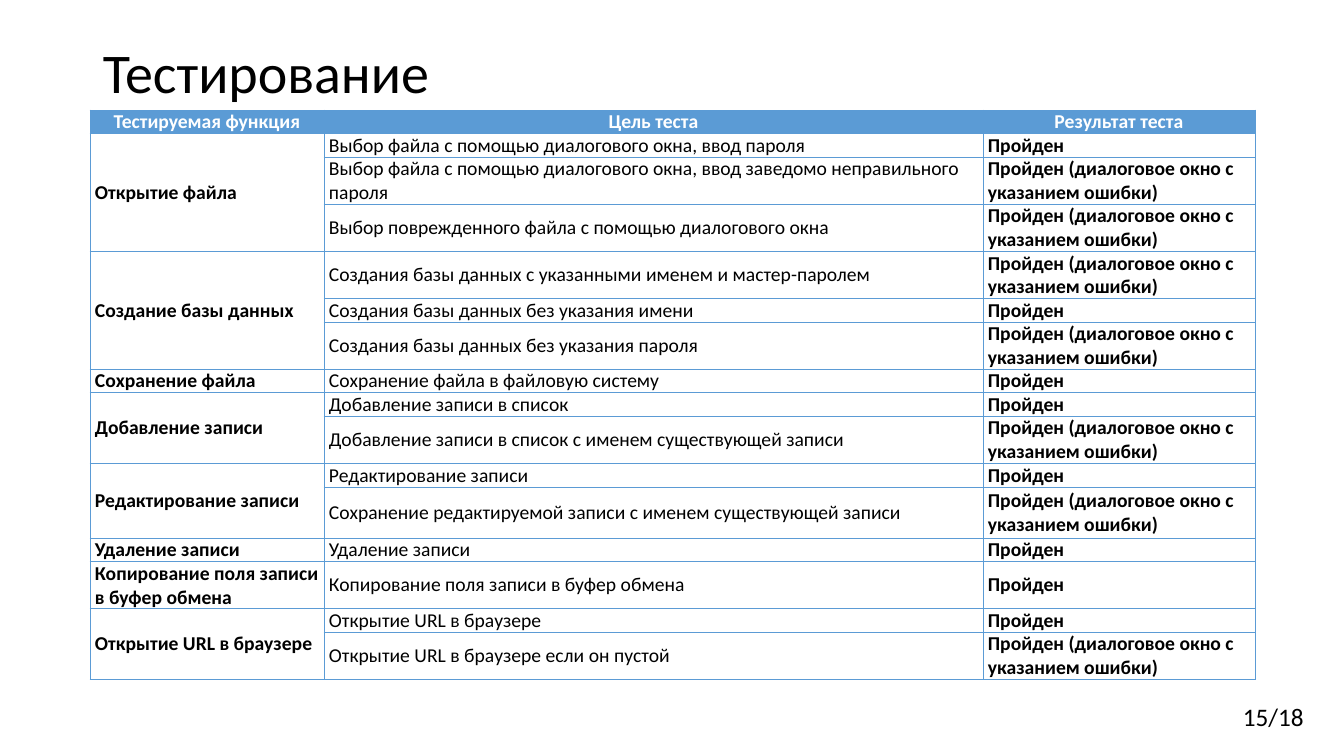
import pptx
import pptx.dml.color
import pptx.enum.text
import pptx.oxml
import pptx.oxml.ns
import pptx.util

PX = 914400 / 100.8
BLACK = pptx.dml.color.RGBColor(0x00, 0x00, 0x00)
WHITE = pptx.dml.color.RGBColor(0xFF, 0xFF, 0xFF)
BLUE = pptx.dml.color.RGBColor(0x5B, 0x9B, 0xD5)
MIDDLE = pptx.enum.text.MSO_ANCHOR.MIDDLE
LEFT = pptx.enum.text.PP_ALIGN.LEFT
CENTER = pptx.enum.text.PP_ALIGN.CENTER

ONE_LINE, TWO_LINES, TALL = 23, 47, 51
COLUMN_WIDTHS = (234, 659, 272)
HEADINGS = ("Тестируемая функция", "Цель теста", "Результат теста")
PASSED = "Пройден"
PASSED_WITH_ERROR = "Пройден (диалоговое окно с указанием ошибки)"

# Each tested function with its tests: goal, result, row height
TESTS = (
    ("Открытие файла", (
        ("Выбор файла с помощью диалогового окна, ввод пароля", PASSED, ONE_LINE),
        ("Выбор файла с помощью диалогового окна, ввод заведомо неправильного пароля",
         PASSED_WITH_ERROR, TWO_LINES),
        ("Выбор поврежденного файла с помощью диалогового окна",
         PASSED_WITH_ERROR, TWO_LINES))),
    ("Создание базы данных", (
        ("Создания базы данных с указанными именем и мастер-паролем",
         PASSED_WITH_ERROR, TWO_LINES),
        ("Создания базы данных без указания имени", PASSED, ONE_LINE),
        ("Создания базы данных без указания пароля", PASSED_WITH_ERROR, TWO_LINES))),
    ("Сохранение файла", (
        ("Сохранение файла в файловую систему", PASSED, ONE_LINE),)),
    ("Добавление записи", (
        ("Добавление записи в список", PASSED, ONE_LINE),
        ("Добавление записи в список с именем существующей записи",
         PASSED_WITH_ERROR, TWO_LINES))),
    ("Редактирование записи", (
        ("Редактирование записи", PASSED, ONE_LINE),
        ("Сохранение редактируемой записи с именем существующей записи",
         PASSED_WITH_ERROR, TALL))),
    ("Удаление записи", (
        ("Удаление записи", PASSED, ONE_LINE),)),
    ("Копирование поля записи в буфер обмена", (
        ("Копирование поля записи в буфер обмена", PASSED, TWO_LINES),)),
    ("Открытие URL в браузере", (
        ("Открытие URL в браузере", PASSED, ONE_LINE),
        ("Открытие URL в браузере если он пустой", PASSED_WITH_ERROR, TWO_LINES))),
)


def px(length):
    """Turn pixels into EMU."""
    return pptx.util.Emu(round(length * PX))


def assign(target, values):
    """Set every attribute named in a dict of format values."""
    for name, value in values.items():
        setattr(target, name, value)


class SlideBuilder:
    """Holds the style and the current slide."""

    font_name = "Calibri"
    cell_size = 14
    cell_format = {"margin_left": px(5), "margin_right": px(5), "margin_top": 0,
                   "margin_bottom": 0, "vertical_anchor": MIDDLE}

    def __init__(self, slide):
        """Keep the slide to draw on."""
        self.slide = slide

    def paragraph(self, frame, text, size, color=BLACK, bold=False, **paragraph_format):
        """Put one formatted paragraph into a text frame."""
        paragraph = frame.paragraphs[0]
        assign(paragraph, paragraph_format)
        run = paragraph.add_run()
        run.text = text
        assign(run.font, {"name": self.font_name, "size": pptx.util.Pt(size), "bold": bold})
        run.font.color.rgb = color

    def text(self, box, text, size, frame_format, **paragraph_format):
        """Add a text box at left, top, width, height."""
        frame = self.slide.shapes.add_textbox(*map(px, box)).text_frame
        assign(frame, frame_format)
        self.paragraph(frame, text, size, **paragraph_format)

    def borders(self, cell):
        """Draw thin blue lines on all four sides of a cell."""
        properties = cell._tc.get_or_add_tcPr()
        for position, side in enumerate(("lnL", "lnR", "lnT", "lnB")):
            properties.insert(position, pptx.oxml.parse_xml(
                f'<a:{side} {pptx.oxml.ns.nsdecls("a")} w="6350"><a:solidFill>'
                f'<a:srgbClr val="{BLUE}"/></a:solidFill></a:{side}>'))

    def cell(self, cell, text, fill=WHITE, **text_format):
        """Fill in one table cell."""
        assign(cell, self.cell_format)
        self.paragraph(cell.text_frame, text, self.cell_size, **text_format)
        cell.fill.solid()
        cell.fill.fore_color.rgb = fill

    def table(self, left, top, widths, headings, groups):
        """Add a table whose first column is merged over each group."""
        heights = [ONE_LINE] + [test[2] for _, tests in groups for test in tests]
        table = self.slide.shapes.add_table(
            len(heights), len(widths),
            *map(px, (left, top, sum(widths), sum(heights)))).table
        assign(table, {"first_row": False, "horz_banding": False})
        for column, width in zip(table.columns, widths):
            column.width = px(width)
        for row, height in zip(table.rows, heights):
            row.height = px(height)

        for column, heading in enumerate(headings):
            self.cell(table.cell(0, column), heading, fill=BLUE,
                      color=WHITE, bold=True, alignment=CENTER)
        first = 1
        for function, tests in groups:
            name = table.cell(first, 0)
            if len(tests) > 1:
                name.merge(table.cell(first + len(tests) - 1, 0))
            self.cell(name, function, bold=True, alignment=LEFT)
            for row, (goal, result, _) in enumerate(tests, first):
                self.cell(table.cell(row, 1), goal, alignment=LEFT)
                self.cell(table.cell(row, 2), result, bold=True, alignment=LEFT)
            first += len(tests)
        for cell in table.iter_cells():
            self.borders(cell)


def main():
    """Build the slide and save it."""
    deck = pptx.Presentation()
    assign(deck, {"slide_width": px(1344), "slide_height": px(756)})
    builder = SlideBuilder(deck.slides.add_slide(deck.slide_layouts[6]))
    builder.text((93, 2, 1159, 146), "Тестирование", 40,
                 {"word_wrap": True, "vertical_anchor": MIDDLE}, line_spacing=0.9)
    builder.table(90, 110, COLUMN_WIDTHS, HEADINGS, TESTS)
    builder.text((1233, 696, 82, 40), "15/18", 18,
                 {"word_wrap": False,
                  "auto_size": pptx.enum.text.MSO_AUTO_SIZE.SHAPE_TO_FIT_TEXT})
    deck.save("out.pptx")


main()
